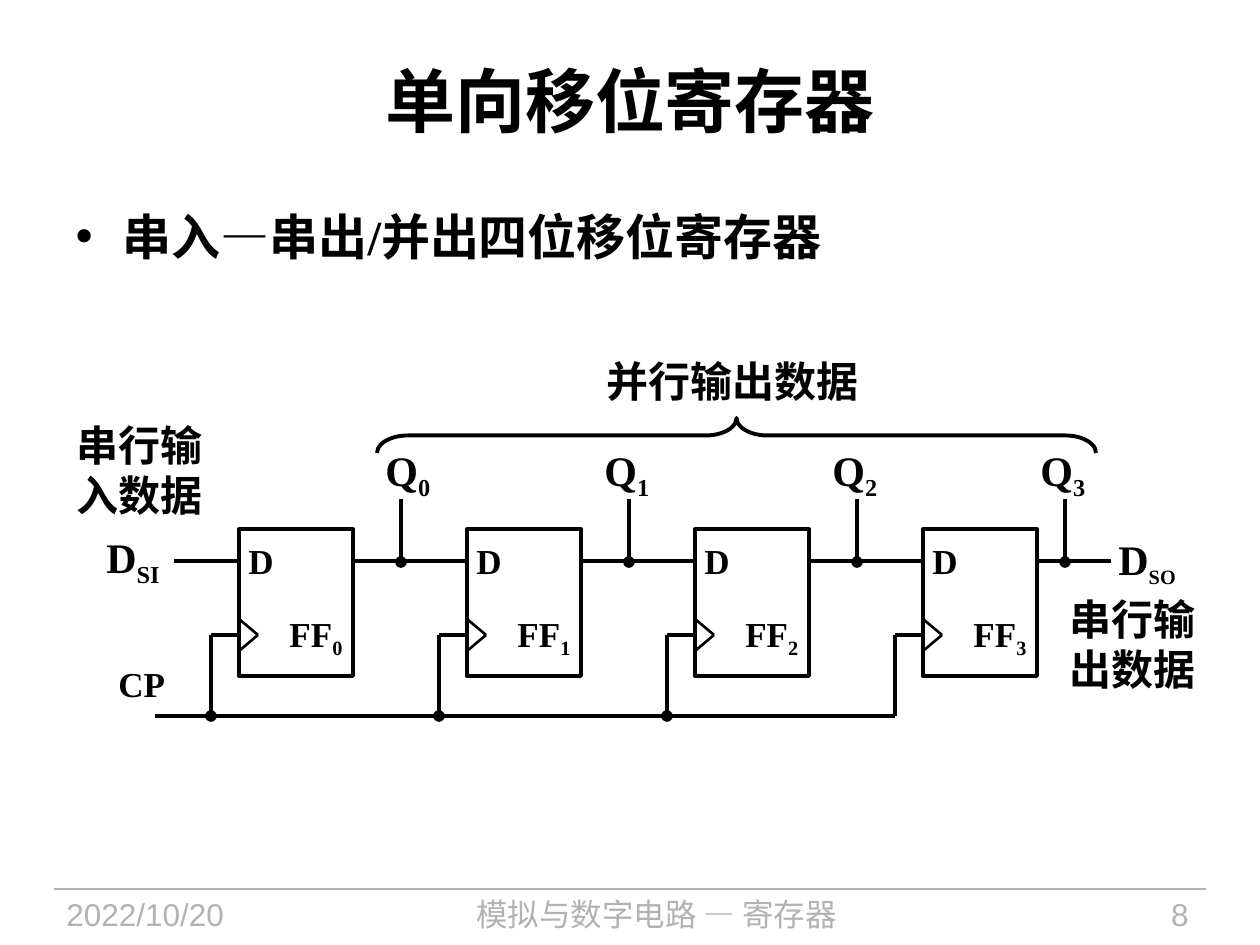
from lxml.etree import SubElement
from pptx import Presentation
from pptx.dml.color import RGBColor
from pptx.enum.shapes import MSO_CONNECTOR, MSO_SHAPE
from pptx.enum.text import MSO_ANCHOR, MSO_AUTO_SIZE, PP_ALIGN
from pptx.oxml.ns import qn
from pptx.util import Pt

EMU_PER_PX = 914400 / 126
COLORS = {"ink": "000000", "footer": "B2B2B2"}
LATIN, CJK, FOOTER = "Times New Roman", "Noto Sans CJK SC", "Arial"


def px(*lengths):
    return [round(length * EMU_PER_PX) for length in lengths]


class CircuitSlide:
    def __init__(self, deck):
        self.slide = deck.slides.add_slide(deck.slide_layouts[1])
        self.shapes = self.slide.shapes

    def stroke(self, line, color, width):
        line.color.rgb = RGBColor.from_string(COLORS[color])
        line.width = Pt(width)

    def run(self, paragraph, text, size, font=LATIN, color="ink", bold=True, sub=False):
        run = paragraph.add_run()
        run.text = text
        run.font.size = Pt(size)
        run.font.bold = bold
        run.font.color.rgb = RGBColor.from_string(COLORS[color])
        run.font.name = font
        properties = run.font._element
        SubElement(properties, qn("a:ea")).set("typeface", CJK)
        if sub:
            properties.set("baseline", "-25000")

    def placeholder(self, index, box, text, size, align, anchor):
        holder = self.slide.placeholders[index]
        holder.left, holder.top, holder.width, holder.height = px(*box)
        frame = holder.text_frame
        frame.auto_size = MSO_AUTO_SIZE.NONE
        frame.vertical_anchor = anchor
        paragraph = frame.paragraphs[0]
        paragraph.alignment = align
        paragraph.space_before = Pt(0)
        self.run(paragraph, text, size)

    def label(self, box, text, size, sub="", sub_size=None, wrap=False,
              grow=True, align=PP_ALIGN.LEFT, spacing=None, **style):
        frame = self.shapes.add_textbox(*px(*box)).text_frame
        frame.word_wrap = wrap
        frame.auto_size = MSO_AUTO_SIZE.SHAPE_TO_FIT_TEXT if grow else MSO_AUTO_SIZE.NONE
        paragraph = frame.paragraphs[0]
        paragraph.alignment = align
        if spacing:
            paragraph.line_spacing = spacing
        self.run(paragraph, text, size, **style)
        if sub:
            self.run(paragraph, sub, sub_size or size, sub=True, **style)

    def footer(self, box, text, align, font=FOOTER):
        self.label(box, text, 18, wrap=True, grow=False, align=align,
                   font=font, color="footer", bold=False)

    def wire(self, x1, y1, x2, y2, width=2.25, color="ink", dot=None):
        wire = self.shapes.add_connector(MSO_CONNECTOR.STRAIGHT, *px(x1, y1, x2, y2))
        self.stroke(wire.line, color, width)
        if dot:
            SubElement(wire.line._get_or_add_ln(), qn(f"a:{dot}End")).set("type", "oval")
        SubElement(wire._element.spPr, qn("a:effectLst"))

    def outline(self, kind, box):
        shape = self.shapes.add_shape(kind, *px(*box))
        shape.shadow.inherit = False
        shape.fill.background()
        self.stroke(shape.line, "ink", 2.25)
        return shape

    def flip_flop(self, x, number):
        self.outline(MSO_SHAPE.RECTANGLE, (x, 529, 114, 147))
        self.wire(x, CLOCK_Y - 16, x + 19, CLOCK_Y, width=1.5)
        self.wire(x + 19, CLOCK_Y, x, CLOCK_Y + 16, width=1.5)
        self.wire(x, CLOCK_Y, x - 28, CLOCK_Y)
        self.label((x - 3, 533, 50, 54), "D", 20)
        self.label((x + 38, 606, 79, 54), "FF", 20, sub=str(number))


DATA_Y, CLOCK_Y, BUS_Y = 561, 635, 716
STAGES = [239 + 228 * stage for stage in range(4)]
TAPS = [x + 162 for x in STAGES[:3]] + [1065]
Q_LABELS = [373, 592, 820, 1028]


def main():
    deck = Presentation()
    deck.slide_width, deck.slide_height = px(1260, 945)
    page = CircuitSlide(deck)

    page.wire(54, 889, 1206, 889, width=0.75, color="footer")
    page.footer((54, 889, 237, 56), "2022/10/20", PP_ALIGN.LEFT)
    page.footer((302, 889, 709, 56), "模拟与数字电路 — 寄存器", PP_ALIGN.CENTER, CJK)
    page.footer((1033, 889, 168, 56), "8", PP_ALIGN.RIGHT)
    page.placeholder(0, (63, 21, 1134, 158), "单向移位寄存器", 40,
                     PP_ALIGN.CENTER, MSO_ANCHOR.MIDDLE)
    page.placeholder(1, (63, 200, 1134, 142), "串入—串出/并出四位移位寄存器", 28,
                     PP_ALIGN.LEFT, MSO_ANCHOR.TOP)

    sources = [174] + TAPS[:3]
    outputs = [x + 172 for x in STAGES[:3]] + [1111]
    for number, (x, source, output, tap, q_left) in enumerate(
            zip(STAGES, sources, outputs, TAPS, Q_LABELS)):
        page.flip_flop(x, number)
        page.wire(source, DATA_Y, x, DATA_Y)
        page.wire(x + 114, DATA_Y, output, DATA_Y)
        page.wire(x - 28, CLOCK_Y, x - 28, BUS_Y, dot="tail" if number < 3 else None)
        page.wire(tap, DATA_Y + 1, tap, 499, dot="head")
        page.label((q_left, 438, 72, 63), "Q", 24, sub=str(number))
    page.wire(155, BUS_Y, STAGES[-1] - 28, BUS_Y)

    page.label((94, 525, 82, 63), "D", 24, sub="SI")
    page.label((106, 656, 72, 54), "CP", 20)
    page.label((1106, 522, 95, 74), "D", 24, sub="SO", sub_size=20,
               wrap=True, grow=False, spacing=1.1)
    page.label((1057, 587, 159, 113), "串行输出数据", 24, wrap=True)
    page.label((64, 413, 159, 113), "串行输入数据", 24, wrap=True)
    page.label((591, 349, 282, 63), "并行输出数据", 24, wrap=True, align=PP_ALIGN.CENTER)
    brace = page.outline(MSO_SHAPE.LEFT_BRACE, (719, 76, 35, 719))
    brace.rotation = 90
    brace.adjustments[0] = 0.88
    brace.adjustments[1] = 0.5

    deck.save("out.pptx")


if __name__ == "__main__":
    main()
